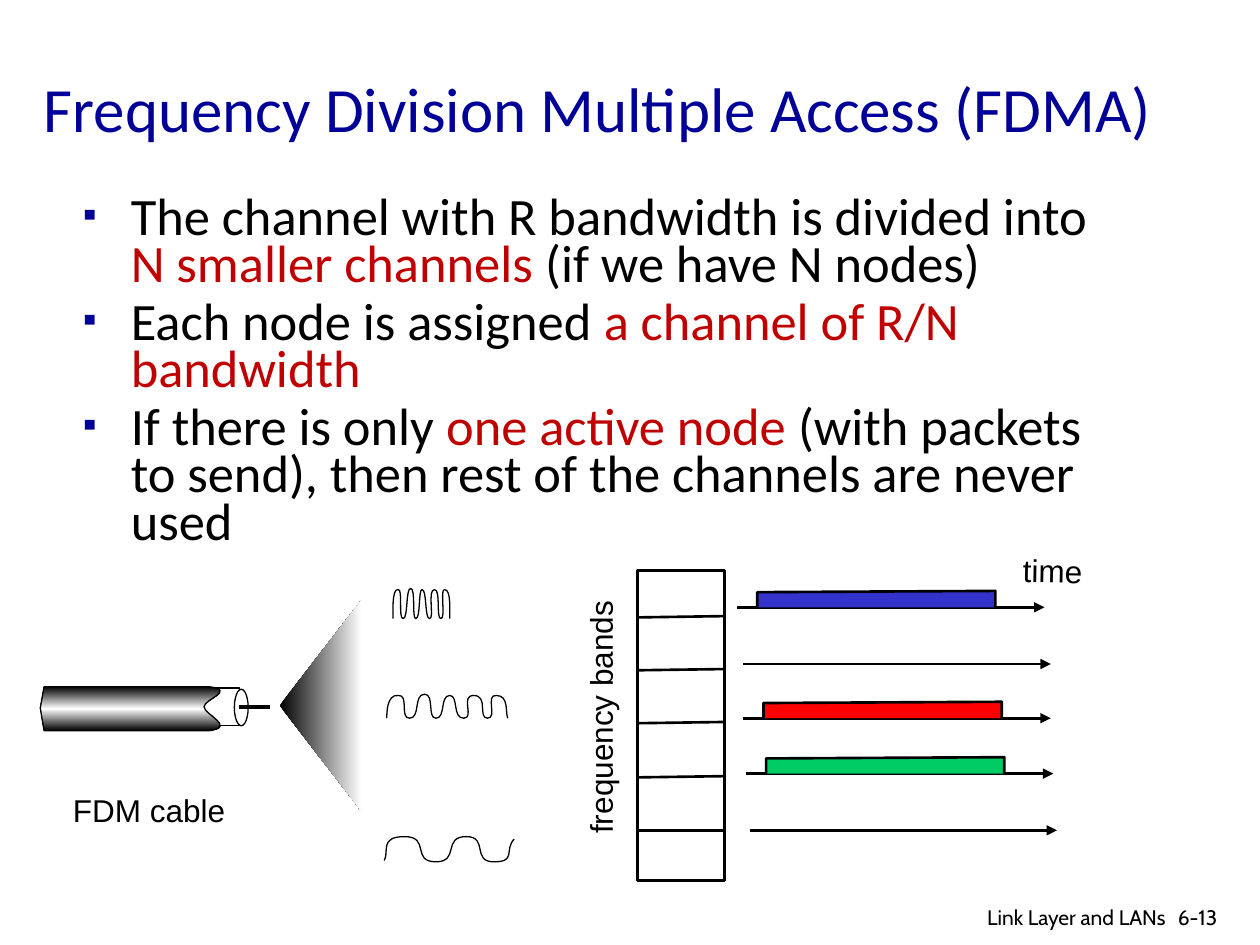
import pptx
import pptx.util
import pptx.dml.color
import pptx.enum.shapes
import pptx.enum.text
import pptx.oxml.ns
from lxml import etree

Inches, Pt = pptx.util.Inches, pptx.util.Pt
RGBColor = pptx.dml.color.RGBColor
SHAPE = pptx.enum.shapes.MSO_SHAPE
ALIGN = pptx.enum.text.PP_ALIGN
ANCHOR = pptx.enum.text.MSO_ANCHOR
qn = pptx.oxml.ns.qn

BLACK = RGBColor(0, 0, 0)
WHITE = RGBColor(255, 255, 255)
NAVY = RGBColor(0, 0, 0x99)
DARK_RED = RGBColor(0xC0, 0, 0)
BLUE = RGBColor(0x33, 0x33, 0xCC)
RED = RGBColor(0xFF, 0, 0)
GREEN = RGBColor(0, 0xCC, 0x66)

TITLE = "Frequency Division Multiple Access (FDMA)"
BULLETS = [
    [("The channel with R bandwidth is divided into ", BLACK),
     ("N smaller channels ", DARK_RED), ("(if we have N nodes)", BLACK)],
    [("Each node is assigned ", BLACK), ("a channel of R/N bandwidth", DARK_RED)],
    [("If there is only ", BLACK), ("one active node", DARK_RED),
     (" (with packets to send), then rest of the channels are never used", BLACK)],
]
LABELS = [
    ("frequency bands", (3.74, 5.49, 2.05, 0.4), 270),
    ("time", (8.02, 4.33, 0.67, 0.4), 1.1),
    ("FDM cable", (0.48, 6.23, 1.41, 0.4), 0),
]
FOOTERS = [
    ("6-13", (9.25, 7.13, 0.6, 0.3), ALIGN.LEFT),
    ("Link Layer and LANs", (6.97, 7.13, 2.38, 0.26), ALIGN.RIGHT),
]
BAND_BOX = (5.06, 4.53, 0.69, 2.46)
BAND_YS = [(4.9, 4.89), (5.32, 5.31), (5.74, 5.73), (6.17, 6.16), (6.59, 6.59)]
TIMELINES = [(5.85, 4.82, BLUE), (5.9, 5.27, None), (5.9, 5.7, RED),
             (5.92, 6.14, GREEN), (5.95, 6.59, None)]
CONE = [(2.87, 4.76), (2.22, 5.6), (2.87, 6.44)]
CABLE_EDGE = [(0.35, 5.45), (0.32, 5.62), (0.35, 5.8), (1.66, 5.8)]
CABLE_TORN = [(1.88, 5.77, 1.62, 5.67, 1.62, 5.61),
              (1.62, 5.55, 1.88, 5.48, 1.66, 5.45)]
WAVES = [
    ((3.07, 5.7), [
        (3.07, 5.66, 3.07, 5.51, 3.16, 5.52), (3.25, 5.51, 3.17, 5.7, 3.25, 5.7),
        (3.34, 5.7, 3.28, 5.51, 3.37, 5.51), (3.45, 5.51, 3.39, 5.7, 3.46, 5.7),
        (3.54, 5.7, 3.49, 5.52, 3.57, 5.52), (3.64, 5.52, 3.59, 5.7, 3.68, 5.7),
        (3.77, 5.7, 3.65, 5.52, 3.76, 5.52), (3.88, 5.52, 3.79, 5.7, 3.87, 5.7),
        (3.95, 5.7, 3.85, 5.51, 3.94, 5.52), (4.04, 5.52, 4.01, 5.65, 4.03, 5.7)]),
    ((3.12, 4.91), [
        (3.12, 4.86, 3.11, 4.67, 3.16, 4.68), (3.2, 4.67, 3.16, 4.91, 3.2, 4.91),
        (3.24, 4.91, 3.22, 4.67, 3.26, 4.67), (3.3, 4.67, 3.27, 4.91, 3.3, 4.91),
        (3.34, 4.91, 3.32, 4.68, 3.35, 4.68), (3.39, 4.68, 3.37, 4.91, 3.41, 4.91),
        (3.45, 4.91, 3.39, 4.68, 3.45, 4.68), (3.5, 4.68, 3.46, 4.91, 3.5, 4.91),
        (3.54, 4.91, 3.49, 4.67, 3.53, 4.68), (3.58, 4.68, 3.57, 4.84, 3.57, 4.91)]),
    ((3.05, 6.83), [
        (3.09, 6.76, 3.01, 6.64, 3.21, 6.64), (3.42, 6.64, 3.26, 6.84, 3.46, 6.84),
        (3.65, 6.84, 3.51, 6.64, 3.7, 6.64), (3.88, 6.64, 3.74, 6.84, 3.92, 6.84),
        (4.1, 6.84, 4, 6.75, 4.08, 6.66)]),
]

prs = pptx.Presentation()
prs.slide_width, prs.slide_height = Inches(10), Inches(7.5)
s = prs.slides.add_slide(prs.slide_layouts[6])


def style(sp, fill, width):
    sp.shadow.inherit = False
    if fill is None:
        sp.fill.background()
    elif isinstance(fill, RGBColor):
        sp.fill.solid()
        sp.fill.fore_color.rgb = fill
    else:
        angle, colors = fill
        sp.fill.gradient()
        sp.fill.gradient_angle = angle
        stops = sp._element.spPr.find(".//" + qn("a:gsLst"))
        for old in list(stops):
            stops.remove(old)
        for i, color in enumerate(colors):
            gs = etree.SubElement(stops, qn("a:gs"), pos=str(100000 * i // (len(colors) - 1)))
            etree.SubElement(gs, qn("a:srgbClr"), val=str(color))
    if width:
        sp.line.color.rgb = BLACK
        sp.line.width = Pt(width)
    else:
        sp.line.fill.background()


def add_preset(kind, box, width):
    style(s.shapes.add_shape(kind, *map(Inches, box)), WHITE, width)


def add_outline(points, fill, width, close=False, curves=()):
    controls = [c[i:i + 2] for c in curves for i in (0, 2, 4)]
    pts = [(Inches(x), Inches(y)) for x, y in points + controls]
    fb = s.shapes.build_freeform(*pts[0], scale=1.0)
    fb.add_line_segments(pts[1:], close=close)
    sp = fb.convert_to_shape()
    segments = list(sp._element.iter(qn("a:lnTo")))[len(points) - 1:] if curves else []
    for i in range(0, len(curves) * 3, 3):
        bend = etree.Element(qn("a:cubicBezTo"))
        segments[i].addprevious(bend)
        for segment in segments[i:i + 3]:
            bend.append(segment[0])
            segment.getparent().remove(segment)
    style(sp, fill, width)


def add_line(x1, y1, x2, y2, width=1.5, arrow=False):
    cx = s.shapes.add_connector(pptx.enum.shapes.MSO_CONNECTOR.STRAIGHT,
                                *map(Inches, (x1, y1, x2, y2)))
    cx.line.color.rgb = BLACK
    cx.line.width = Pt(width)
    if arrow:
        etree.SubElement(cx.line._get_or_add_ln(), qn("a:tailEnd"), type="triangle")
    etree.SubElement(cx._element.spPr, qn("a:effectLst"))


def add_run(p, text, font, size, color):
    r = p.add_run()
    r.text = text
    r.font.name, r.font.size = font, Pt(size)
    r.font.color.rgb = color


def add_box(box, wrap=True):
    tb = s.shapes.add_textbox(*map(Inches, box))
    tb.text_frame.word_wrap = wrap
    return tb, tb.text_frame


def add_bullet(p):
    pPr = p._p.get_or_add_pPr()
    pPr.set("marL", str(Inches(0.38)))
    pPr.set("indent", str(-Inches(0.38)))
    color = etree.SubElement(pPr, qn("a:buClr"))
    etree.SubElement(color, qn("a:srgbClr"), val=str(NAVY))
    etree.SubElement(pPr, qn("a:buSzPct"), val="75000")
    etree.SubElement(pPr, qn("a:buFont"), typeface="Arial")
    etree.SubElement(pPr, qn("a:buChar"), char="▪")


left, top, width, height = BAND_BOX
add_preset(SHAPE.RECTANGLE, BAND_BOX, 1.5)
for y1, y2 in BAND_YS:
    add_line(left, y1, left + width, y2)

for x, y, color in TIMELINES:
    add_line(x, y, x + 2.44, y, arrow=True)
    if color is not None:
        x1, x2 = x + 0.16, x + 2.05
        add_outline([(x1, y), (x1, y - 0.12), (x2, y - 0.13), (x2, y)], color, 1.5)

add_outline(CONE, (0, [BLACK, WHITE]), 0, close=True)
add_preset(SHAPE.RECTANGLE, (1.61, 5.46, 0.29, 0.3), 0.75)
add_outline(CABLE_EDGE, (90, [BLACK, WHITE, BLACK]), 0.75, close=True, curves=CABLE_TORN)
add_preset(SHAPE.OVAL, (1.86, 5.47, 0.11, 0.29), 0.75)
add_line(1.9, 5.61, 2.14, 5.61, width=2.25)
for start, curves in WAVES:
    add_outline([start], None, 0.75, curves=curves)

for text, box, angle in LABELS:
    tb, tf = add_box(box, wrap=False)
    tb.rotation = angle
    add_run(tf.paragraphs[0], text, "Arial", 18, BLACK)

tb, tf = add_box((0.25, 0.23, 9.44, 1.25))
tf.vertical_anchor = ANCHOR.MIDDLE
add_run(tf.paragraphs[0], TITLE, "Calibri", 36, NAVY)

for text, box, align in FOOTERS:
    tb, tf = add_box(box)
    tf.paragraphs[0].alignment = align
    add_run(tf.paragraphs[0], text, "Cabin", 12, BLACK)

tb, tf = add_box((0.56, 1.52, 8.5, 3.2))
for i, runs in enumerate(BULLETS):
    p = tf.add_paragraph() if i else tf.paragraphs[0]
    add_bullet(p)
    p.line_spacing = 0.75
    if i:
        p.space_before = Pt(6)
    for text, color in runs:
        add_run(p, text, "Calibri", 30, color)

prs.save("out.pptx")
